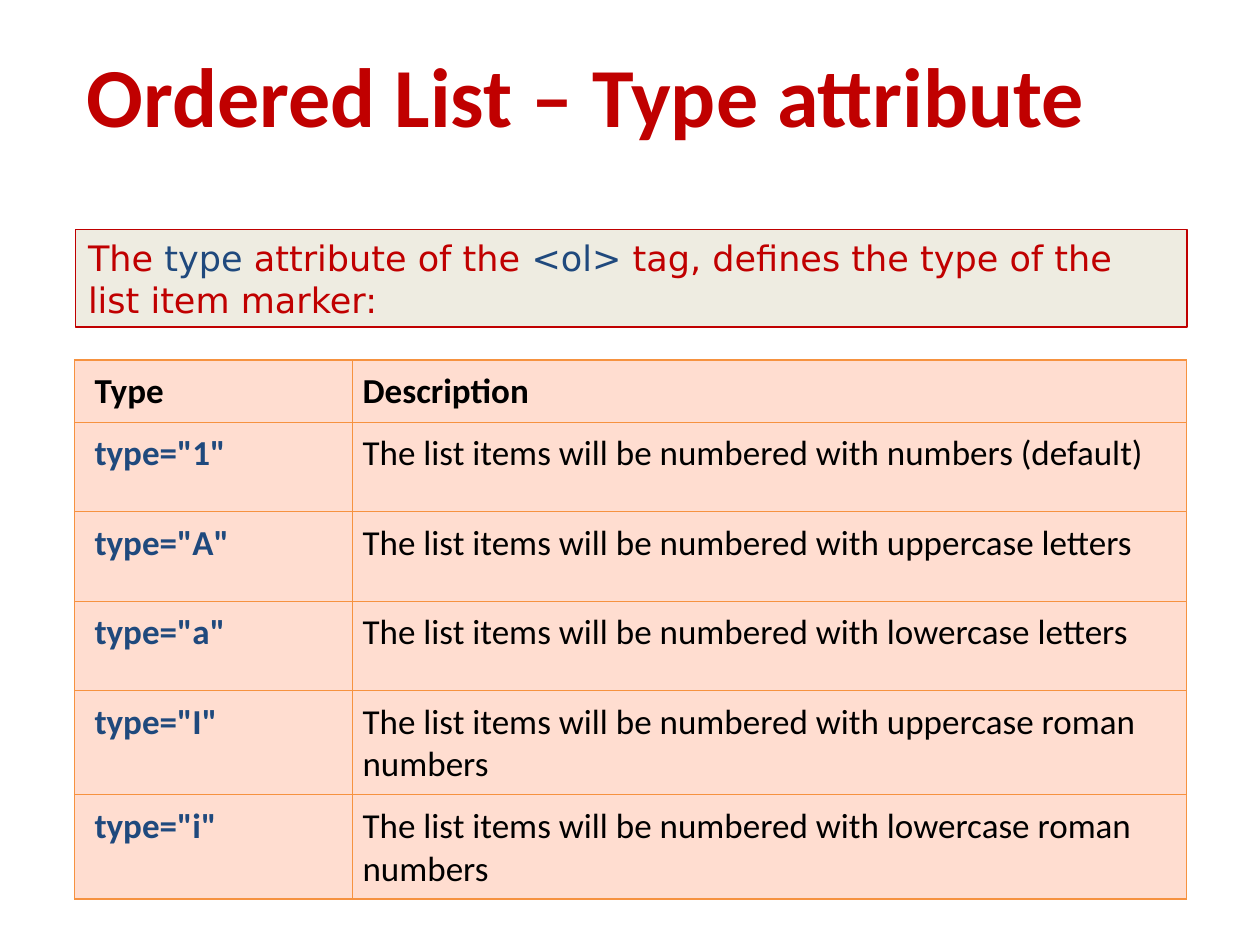
import dataclasses

import lxml.etree
import pptx
import pptx.dml.color
import pptx.enum.shapes
import pptx.enum.text
import pptx.oxml.ns
import pptx.util


@dataclasses.dataclass(frozen=True)
class Theme:
    """Colours, fonts and type sizes of the slide."""
    red: str = "C00000"
    blue: str = "1F497D"
    black: str = "000000"
    note_fill: str = "EEECE1"
    cell_fill: str = "FFDDD0"
    border: str = "F69240"
    font: str = "Calibri"
    note_font: str = "DejaVu Sans"
    title_size: int = 48
    body_size: int = 20
    line_width: float = 0.75


THEME = Theme()
WIDTH, HEIGHT = pptx.util.Inches(10), pptx.util.Inches(7.5)
TITLE_BOX = (0.059, 0.039, 0.913, 0.121)
NOTE_BOX = (0.06, 0.243, 0.882, 0.103)
TABLE_BOX = (0.059, 0.381, 0.883, 0.529)
COLUMN_SHARES = (0.25, 0.75)
ROW_SHARES = (0.108, 0.179, 0.179, 0.179, 0.179, 0.176)
MARKERS = {
    "1": "numbers (default)",
    "A": "uppercase letters",
    "a": "lowercase letters",
    "I": "uppercase roman numbers",
    "i": "lowercase roman numbers",
}
NOTE_RUNS = (
    ("The", THEME.red),
    (" type ", THEME.blue),
    ("attribute of the ", THEME.red),
    ("<ol> ", THEME.blue),
    ("tag, defines the type of the list item marker:", THEME.red),
)


def rgb(value):
    """Return a colour object for a hexadecimal value."""
    return pptx.dml.color.RGBColor.from_string(value)


def set_attributes(target, **values):
    """Set every given attribute on the target."""
    for name, value in values.items():
        setattr(target, name, value)


def to_lengths(box):
    """Turn shares of the slide into left, top, width and height."""
    return [round(share * side) for share, side in zip(box, (WIDTH, HEIGHT) * 2)]


def paint(fill, color):
    """Give a fill one solid colour."""
    fill.solid()
    fill.fore_color.rgb = rgb(color)


def add_run(paragraph, text, color, size=THEME.body_size, font=THEME.font, bold=False):
    """Append a formatted run to a paragraph."""
    run = paragraph.add_run()
    run.text = text
    set_attributes(run.font, name=font, size=pptx.util.Pt(size), bold=bold)
    run.font.color.rgb = rgb(color)


def place_title(slide, box):
    """Move the title placeholder into the box and write the heading."""
    title = slide.shapes.title
    for name, value in zip(("left", "top", "width", "height"), to_lengths(box)):
        setattr(title, name, value)
    set_attributes(title.text_frame, word_wrap=True,
                   vertical_anchor=pptx.enum.text.MSO_ANCHOR.TOP,
                   auto_size=pptx.enum.text.MSO_AUTO_SIZE.SHAPE_TO_FIT_TEXT)
    paragraph = title.text_frame.paragraphs[0]
    paragraph.alignment = pptx.enum.text.PP_ALIGN.LEFT
    add_run(paragraph, "Ordered List – Type attribute", THEME.red, THEME.title_size, bold=True)


def place_note(slide, box):
    """Draw the framed explanation in the box."""
    note = slide.shapes.add_shape(pptx.enum.shapes.MSO_SHAPE.RECTANGLE, *to_lengths(box))
    note.shadow.inherit = False
    paint(note.fill, THEME.note_fill)
    paint(note.line.fill, THEME.red)
    note.line.width = pptx.util.Pt(THEME.line_width)
    set_attributes(note.text_frame, word_wrap=True,
                   vertical_anchor=pptx.enum.text.MSO_ANCHOR.MIDDLE,
                   auto_size=pptx.enum.text.MSO_AUTO_SIZE.SHAPE_TO_FIT_TEXT)
    paragraph = note.text_frame.paragraphs[0]
    paragraph.alignment = pptx.enum.text.PP_ALIGN.LEFT
    for text, color in NOTE_RUNS:
        add_run(paragraph, text, color, font=THEME.note_font)


def add_borders(cell):
    """Draw a thin line on all four sides of a cell."""
    properties = cell._tc.get_or_add_tcPr()
    for index, side in enumerate(("a:lnL", "a:lnR", "a:lnT", "a:lnB")):
        line = lxml.etree.Element(pptx.oxml.ns.qn(side), w=str(pptx.util.Pt(THEME.line_width)))
        fill = lxml.etree.SubElement(line, pptx.oxml.ns.qn("a:solidFill"))
        lxml.etree.SubElement(fill, pptx.oxml.ns.qn("a:srgbClr"), val=THEME.border)
        properties.insert(index, line)


def fill_cell(cell, text, color, bold, left_margin):
    """Write and format one table cell."""
    margin = pptx.util.Inches(0.08)
    set_attributes(cell, margin_left=pptx.util.Inches(left_margin), margin_right=margin,
                   margin_top=margin, margin_bottom=margin)
    paint(cell.fill, THEME.cell_fill)
    add_borders(cell)
    add_run(cell.text_frame.paragraphs[0], text, color, bold=bold)


def place_table(slide, box):
    """Build the table of marker types in the box."""
    lengths = to_lengths(box)
    frame = slide.shapes.add_table(len(ROW_SHARES), len(COLUMN_SHARES), *lengths)
    table = frame.table
    set_attributes(table, first_row=False, horz_banding=False)
    for column, share in zip(table.columns, COLUMN_SHARES):
        column.width = round(lengths[2] * share)
    for row, share in zip(table.rows, ROW_SHARES):
        row.height = round(lengths[3] * share)
    entries = [("Type", "Description")] + [
        (f'type="{marker}"', f"The list items will be numbered with {kind}")
        for marker, kind in MARKERS.items()
    ]
    for index, (name, description) in enumerate(entries):
        header = index == 0
        name_color = THEME.black if header else THEME.blue
        fill_cell(table.cell(index, 0), name, name_color, True, 0.16)
        fill_cell(table.cell(index, 1), description, THEME.black, header, 0.08)


def main():
    """Build and save the slide."""
    presentation = pptx.Presentation()
    set_attributes(presentation, slide_width=WIDTH, slide_height=HEIGHT)
    slide = presentation.slides.add_slide(presentation.slide_layouts.get_by_name("Title Only"))
    place_title(slide, TITLE_BOX)
    place_note(slide, NOTE_BOX)
    place_table(slide, TABLE_BOX)
    presentation.save("out.pptx")


if __name__ == "__main__":
    main()
